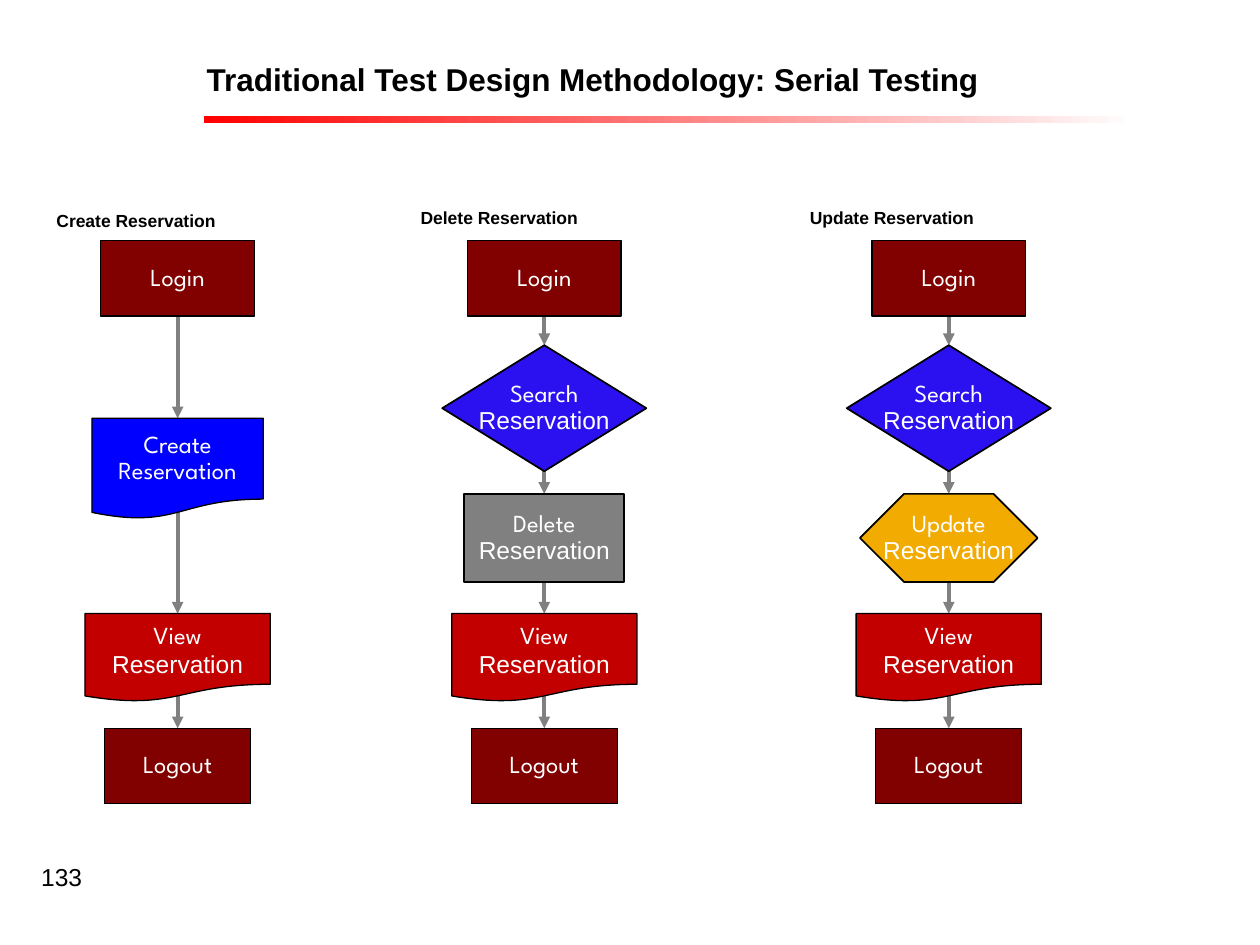
from lxml import etree
from pptx import Presentation
from pptx import util as u
from pptx.dml.color import RGBColor
from pptx.enum import shapes, text
from pptx.oxml.ns import qn

COLORS = {
    "black": "000000", "white": "FFFFFF", "arrow": "808080",
    "session": "810000", "search": "2B11EF", "create": "0000FF",
    "delete": "808080", "update": "F2AB01", "view": "C20000",
    "rule_start": "FF0000", "rule_end": "FFFBFB",
}
KIND = shapes.MSO_SHAPE
HEADING_FONT, BODY_FONT = "League Spartan", "Arial"

# kind, colour, top, width, height, line width, line spacing, first-line shift, lines
LOGIN = (KIND.RECTANGLE, "session", 1.91, 1.22, 0.6, 0.75, 0.9, 0,
         [("Login", HEADING_FONT)])
SEARCH = (KIND.FLOWCHART_DECISION, "search", 2.74, 1.62, 1, 1, 0.9, -0.11,
          [("Search", HEADING_FONT), ("Reservation", BODY_FONT)])
CREATE = (KIND.FLOWCHART_DOCUMENT, "create", 3.32, 1.36, 0.8, 0.75, 0.9, 0,
          [("Create", HEADING_FONT), ("Reservation", HEADING_FONT)])
DELETE = (KIND.RECTANGLE, "delete", 3.92, 1.27, 0.7, 1, 0.9, -0.11,
          [("Delete", HEADING_FONT), ("Reservation", BODY_FONT)])
UPDATE = (KIND.HEXAGON, "update", 3.92, 1.41, 0.7, 1, 0.9, -0.11,
          [("Update", HEADING_FONT), ("Reservation", BODY_FONT)])
VIEW = (KIND.FLOWCHART_DOCUMENT, "view", 4.87, 1.47, 0.7, 0.75, 1, -0.11,
        [("View", HEADING_FONT), ("Reservation", BODY_FONT)])
LOGOUT = (KIND.RECTANGLE, "session", 5.78, 1.16, 0.6, 0.75, 0.9, 0,
          [("Logout", HEADING_FONT)])

FLOWS = [
    ("Create Reservation", (0.35, 1.45, 2.24, 0.43), 1.41,
     [LOGIN, CREATE, VIEW, LOGOUT]),
    ("Delete Reservation", (3.24, 1.43, 2.24, 0.43), 4.32,
     [LOGIN, SEARCH, DELETE, VIEW, LOGOUT]),
    ("Update Reservation", (6.33, 1.43, 2.44, 0.43), 7.53,
     [LOGIN, SEARCH, UPDATE, VIEW, LOGOUT]),
]


def rgb(name):
    return RGBColor.from_string(COLORS[name])


def inches(box):
    return [u.Inches(v) for v in box]


def set_font(p, size, color, name=BODY_FONT, bold=False):
    p.font.size = u.Pt(size)
    p.font.name = name
    p.font.bold = bold
    p.font.color.rgb = rgb(color)


def add_label(s, box, words, size, bold=False, align=text.PP_ALIGN.LEFT,
              anchor=text.MSO_ANCHOR.TOP):
    tf = s.shapes.add_textbox(*inches(box)).text_frame
    tf.word_wrap = True
    tf.vertical_anchor = anchor
    p = tf.paragraphs[0]
    p.text = words
    p.alignment = align
    set_font(p, size, "black", bold=bold)


def add_title(s, box, words):
    sp = s.shapes.title
    sp.left, sp.top, sp.width, sp.height = inches(box)
    tf = sp.text_frame
    tf.auto_size = text.MSO_AUTO_SIZE.NONE
    tf.vertical_anchor = text.MSO_ANCHOR.BOTTOM
    p = tf.paragraphs[0]
    p.text = words
    p.alignment = text.PP_ALIGN.LEFT
    set_font(p, 18, "black", bold=True)


def add_rule(s, box):
    sp = s.shapes.add_shape(KIND.RECTANGLE, *inches(box))
    sp.shadow.inherit = False
    sp.line.fill.background()
    sp.fill.gradient()
    sp.fill.gradient_angle = 0
    for stop, name in zip(sp.fill.gradient_stops, ("rule_start", "rule_end")):
        stop.color.rgb = rgb(name)


def add_arrow(s, x, top, bottom):
    line = s.shapes.add_connector(shapes.MSO_CONNECTOR.STRAIGHT,
                                  *inches((x, top, x, bottom)))
    line.line.color.rgb = rgb("arrow")
    line.line.width = u.Pt(2.25)
    etree.SubElement(line.line._get_or_add_ln(), qn("a:tailEnd"), type="triangle")
    etree.SubElement(line._element.spPr, qn("a:effectLst"))


def add_step(s, center, step):
    kind, color, top, width, height, weight, spacing, shift, lines = step
    sp = s.shapes.add_shape(kind, *inches((center - width / 2, top, width, height)))
    sp.shadow.inherit = False
    sp.fill.solid()
    sp.fill.fore_color.rgb = rgb(color)
    sp.line.color.rgb = rgb("black")
    sp.line.width = u.Pt(weight)
    if kind == KIND.HEXAGON:
        sp.adjustments[0] = 0.5
    tf = sp.text_frame
    tf.word_wrap = False
    tf.vertical_anchor = text.MSO_ANCHOR.MIDDLE
    for i, (words, font) in enumerate(lines):
        p = tf.add_paragraph() if i else tf.paragraphs[0]
        p.text = words
        p.alignment = text.PP_ALIGN.CENTER
        p.line_spacing = spacing
        set_font(p, 14, "white", font)
    if shift:
        tf.paragraphs[0]._p.get_or_add_pPr().set("indent", str(u.Inches(shift)))


def add_flow(s, heading, box, center, steps):
    for above, below in zip(steps, steps[1:]):
        add_arrow(s, center, above[2] + above[4] - 0.1, below[2])
    add_label(s, box, heading, 10, bold=True, anchor=text.MSO_ANCHOR.BOTTOM)
    for step in steps:
        add_step(s, center, step)


def main():
    prs = Presentation()
    prs.slide_width, prs.slide_height = inches((10, 7.5))
    s = prs.slides.add_slide(prs.slide_layouts[5])
    add_rule(s, (1.62, 0.92, 7.3, 0.06))
    add_label(s, (0, 6.79, 0.75, 0.52), "133", 14, align=text.PP_ALIGN.RIGHT)
    add_title(s, (1.54, 0.26, 7.74, 0.57),
              "Traditional Test Design Methodology: Serial Testing")
    for flow in FLOWS:
        add_flow(s, *flow)
    prs.save("out.pptx")


if __name__ == "__main__":
    main()
